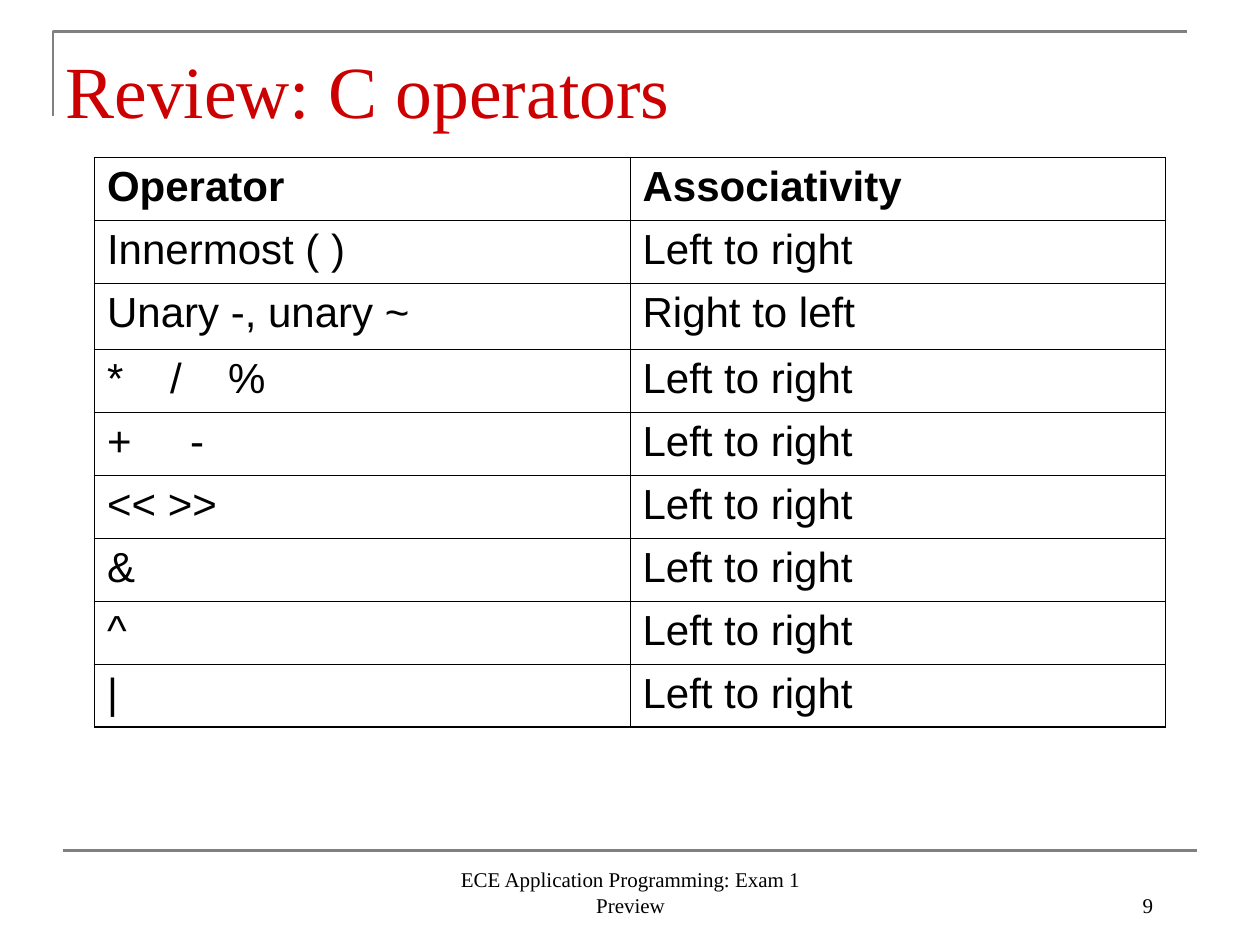
"""Build the slide that reviews the associativity of C operators."""
from lxml import etree
from pptx import Presentation
from pptx.dml.color import RGBColor
from pptx.enum.shapes import MSO_CONNECTOR
from pptx.enum.text import MSO_ANCHOR, MSO_AUTO_SIZE, PP_ALIGN
from pptx.oxml.ns import qn
from pptx.util import Inches, Pt

TITLE = "Review: C operators"
FOOTER = "ECE Application Programming: Exam 1 Preview"
PAGE_NUMBER = "9"
OPERATORS = [
    ("Operator", "Associativity"),
    ("Innermost ( )", "Left to right"),
    ("Unary -, unary ~", "Right to left"),
    ("*\t/\t%", "Left to right"),
    ("+\t-", "Left to right"),
    ("<< >>", "Left to right"),
    ("&", "Left to right"),
    ("^", "Left to right"),
    ("|", "Left to right"),
]
OPERATOR_STOPS = {"*\t/\t%": (0.5, 0.96), "+\t-": (0.66,)}
TALL_ROW = 2

RED = RGBColor(0xCC, 0x00, 0x00)
GRAY = RGBColor(0x80, 0x80, 0x80)
BLACK = RGBColor(0x00, 0x00, 0x00)
SERIF, SANS = "Times New Roman", "Arial"
LEFT, CENTER, RIGHT = PP_ALIGN.LEFT, PP_ALIGN.CENTER, PP_ALIGN.RIGHT
MIDDLE, BOTTOM = MSO_ANCHOR.MIDDLE, MSO_ANCHOR.BOTTOM
NO_AUTOFIT = MSO_AUTO_SIZE.NONE
STRAIGHT = MSO_CONNECTOR.STRAIGHT

WIDTH, HEIGHT = Inches(10), Inches(7.5)
FRAME_LEFT, FRAME_TOP = Inches(0.42), Inches(0.25)
RULE_LENGTH, RULE_WEIGHT = Inches(9), Pt(1.5)
TABLE_LEFT, TABLE_TOP, TABLE_WIDTH = Inches(0.75), Inches(1.25), Inches(8.5)
ROW_HEIGHT, TALL_ROW_HEIGHT = Inches(0.5), Inches(0.52)
FOOTER_TOP = Inches(6.83)
OUTER, INNER = Pt(1.08), Pt(0.45)


def style(paragraph, font_name, size, color, align=LEFT, bold=False):
    paragraph.alignment = align
    font = paragraph.font
    font.name, font.size, font.bold = font_name, Pt(size), bold
    font.color.rgb = color


def fill_frame(frame, text, anchor, *look):
    frame.word_wrap = True
    frame.auto_size = NO_AUTOFIT
    frame.vertical_anchor = anchor
    frame.text = text
    style(frame.paragraphs[0], *look)


def add_footer(slide, text, left, width, align):
    box = slide.shapes.add_textbox(left, FOOTER_TOP, width, Inches(0.5))
    fill_frame(box.text_frame, text, BOTTOM, SERIF, 12, BLACK, align)


def add_rules(slide):
    outline = slide.shapes.build_freeform(FRAME_LEFT, Inches(0.92))
    outline.add_line_segments(
        [(FRAME_LEFT, FRAME_TOP), (FRAME_LEFT + RULE_LENGTH, FRAME_TOP)], close=False)
    corner = outline.convert_to_shape()
    corner.fill.background()
    corner.shadow.inherit = False
    rule_left, rule_top = Inches(0.5), Inches(6.75)
    rule = slide.shapes.add_connector(
        STRAIGHT, rule_left, rule_top, rule_left + RULE_LENGTH, rule_top)
    for part in (corner, rule):
        part.line.color.rgb = GRAY
        part.line.width = RULE_WEIGHT
    etree.SubElement(rule.element.spPr, qn("a:effectLst"))


def add_borders(cell, outer_sides):
    properties = cell._tc.get_or_add_tcPr()
    for side in "LRTB":
        weight = OUTER if side in outer_sides else INNER
        border = etree.SubElement(properties, qn(f"a:ln{side}"), w=str(int(weight)))
        solid = etree.SubElement(border, qn("a:solidFill"))
        etree.SubElement(solid, qn("a:srgbClr"), val=str(BLACK))


def add_tab_stops(paragraph, stops):
    tab_list = etree.SubElement(paragraph._p.get_or_add_pPr(), qn("a:tabLst"))
    for stop in stops:
        etree.SubElement(tab_list, qn("a:tab"), pos=str(int(Inches(stop))), algn="l")


def add_operator_table(slide):
    last_row, last_column = len(OPERATORS) - 1, len(OPERATORS[0]) - 1
    table = slide.shapes.add_table(
        last_row + 1, last_column + 1, TABLE_LEFT, TABLE_TOP,
        TABLE_WIDTH, ROW_HEIGHT * last_row + TALL_ROW_HEIGHT).table
    table.horz_banding = False
    for r, entries in enumerate(OPERATORS):
        table.rows[r].height = TALL_ROW_HEIGHT if r == TALL_ROW else ROW_HEIGHT
        for c, entry in enumerate(entries):
            cell = table.cell(r, c)
            edges = {"L": c == 0, "R": c == last_column, "T": r == 0, "B": r == last_row}
            add_borders(cell, [side for side, is_outer in edges.items() if is_outer])
            cell.fill.background()
            cell.text = entry
            paragraph = cell.text_frame.paragraphs[0]
            if entry in OPERATOR_STOPS:
                add_tab_stops(paragraph, OPERATOR_STOPS[entry])
            style(paragraph, SANS, 24, BLACK, bold=r == 0)


def main():
    deck = Presentation()
    deck.slide_width, deck.slide_height = WIDTH, HEIGHT
    slide = deck.slides.add_slide(deck.slide_layouts[5])
    add_rules(slide)
    title = slide.shapes.title
    title.left, title.top = FRAME_LEFT, FRAME_TOP
    title.width, title.height = Inches(8.5), Inches(0.92)
    fill_frame(title.text_frame, TITLE, MIDDLE, SERIF, 42, RED)
    add_operator_table(slide)
    add_footer(slide, PAGE_NUMBER, Inches(7.17), Inches(2.08), RIGHT)
    add_footer(slide, FOOTER, Inches(3.42), Inches(3.17), CENTER)
    deck.save("out.pptx")


if __name__ == "__main__":
    main()
